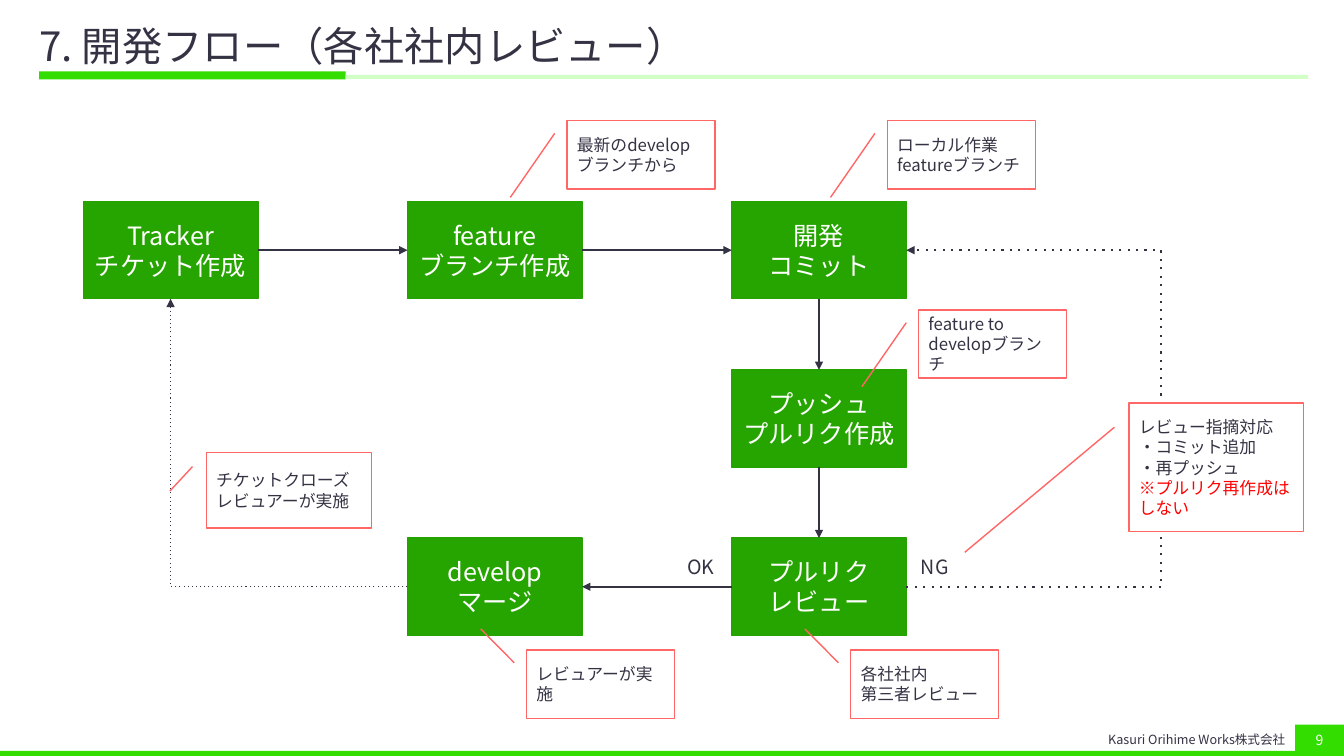
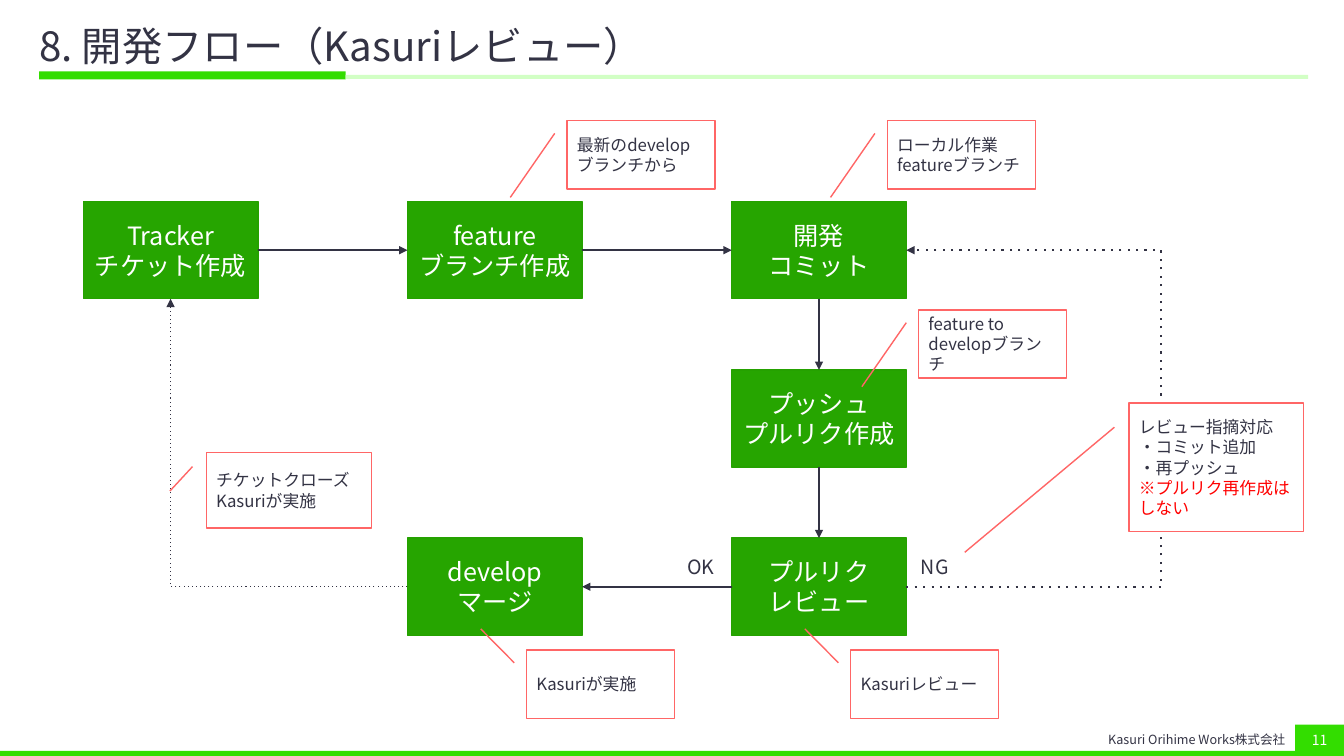
from dataclasses import dataclass
from typing import Optional

from lxml.etree import SubElement
from pptx import Presentation
from pptx.dml.color import RGBColor
from pptx.enum.shapes import MSO_CONNECTOR as CONN, MSO_SHAPE as SHAPE
from pptx.enum.text import MSO_ANCHOR as ANCHOR, PP_ALIGN as ALIGN
from pptx.oxml.ns import qn
from pptx.util import Cm, Pt

FONT = "Noto Sans CJK JP"
COLORS = {
    "bright": "33DD00",
    "pale": "D2FFC5",
    "step": "26A500",
    "step_line": "25A100",
    "ink": "333344",
    "white": "FFFFFF",
    "note": "FF6666",
    "warning": "FF0000",
}
COMPANY = "Kasuri"
SLIDE_W, SLIDE_H = 33.87, 19.05
STEP_W, STEP_H = 4.4, 2.45
STEP_LEFT, STEP_TOP = 2.1, 5.08
COL_PITCH, ROW_PITCH = 8.17, 4.24
TOP, LEFT, BOTTOM, RIGHT = range(4)
NG_TURN_X = 29.26


@dataclass(frozen=True)
class Box:
    x: float
    y: float
    w: float
    h: float


@dataclass(frozen=True)
class Step:
    key: str
    col: int
    row: int
    text: str


@dataclass(frozen=True)
class Arrow:
    start: str
    start_side: int
    end: str
    end_side: int


@dataclass(frozen=True)
class Note:
    box: Box
    text: str
    tip: Optional[tuple[float, float]] = None


@dataclass(frozen=True)
class Flow:
    title: str
    page: int
    close: str
    merge: str
    review: str


STEPS = [
    Step("ticket", 0, 0, "Tracker\nチケット作成"),
    Step("branch", 1, 0, "feature\nブランチ作成"),
    Step("commit", 2, 0, "開発\nコミット"),
    Step("push", 2, 1, "プッシュ\nプルリク作成"),
    Step("review", 2, 2, "プルリク\nレビュー"),
    Step("merge", 1, 2, "develop\nマージ"),
]
ARROWS = [
    Arrow("ticket", RIGHT, "branch", LEFT),
    Arrow("branch", RIGHT, "commit", LEFT),
    Arrow("commit", BOTTOM, "push", TOP),
    Arrow("push", BOTTOM, "review", TOP),
    Arrow("review", LEFT, "merge", RIGHT),
]
FLOWS = [
    Flow("7. 開発フロー（各社社内レビュー）", 9,
         "チケットクローズ\nレビュアーが実施", "レビュアーが実施", "各社社内\n第三者レビュー"),
    Flow(f"8. 開発フロー（{COMPANY}レビュー）", 11,
         f"チケットクローズ\n{COMPANY}が実施", f"{COMPANY}が実施", f"{COMPANY}レビュー"),
]


def rgb(name: str) -> RGBColor:
    return RGBColor.from_string(COLORS[name])


def write(sp, text: str, size: float, color: str = "ink", align=ALIGN.LEFT,
          anchor=ANCHOR.MIDDLE, wrap: bool = True) -> None:
    tf = sp.text_frame
    tf.text = text
    tf.word_wrap = wrap
    tf.vertical_anchor = anchor
    for p in tf.paragraphs:
        p.alignment = align
        for r in p.runs:
            r.font.size = Pt(size)
            r.font.color.rgb = rgb("warning" if r.text.startswith("※") else color)
            r.font.name = FONT
            SubElement(r.font._element, qn("a:ea"), typeface=FONT)


def add_box(slide, box: Box, fill: str, line: Optional[str] = None, kind=SHAPE.RECTANGLE):
    sp = slide.shapes.add_shape(kind, Cm(box.x), Cm(box.y), Cm(box.w), Cm(box.h))
    sp.shadow.inherit = False
    sp.fill.solid()
    sp.fill.fore_color.rgb = rgb(fill)
    if line:
        sp.line.color.rgb = rgb(line)
        sp.line.width = Pt(1)
    else:
        sp.line.fill.background()
    return sp


def add_text(slide, box: Box, text: str, size: float, **style):
    sp = slide.shapes.add_textbox(Cm(box.x), Cm(box.y), Cm(box.w), Cm(box.h))
    write(sp, text, size, **style)
    return sp


def style_arrow(sp, width: float, dotted: bool = False) -> None:
    sp.line.color.rgb = rgb("ink")
    sp.line.width = Pt(width)
    ln = sp.line._get_or_add_ln()
    if dotted:
        SubElement(ln, qn("a:prstDash"), val="dot")
    SubElement(ln, qn("a:tailEnd"), type="triangle")


def add_arrow(slide, steps: dict, arrow: Arrow, kind=CONN.STRAIGHT,
              width: float = 1.5, dotted: bool = False):
    cn = slide.shapes.add_connector(kind, 0, 0, 0, 0)
    cn.begin_connect(steps[arrow.start], arrow.start_side)
    cn.end_connect(steps[arrow.end], arrow.end_side)
    style_arrow(cn, width, dotted)
    SubElement(cn._element.spPr, qn("a:effectLst"))
    return cn


def add_close_arrow(slide, steps: dict) -> None:
    cn = add_arrow(slide, steps, Arrow("merge", LEFT, "ticket", BOTTOM), CONN.ELBOW, 0.75, True)
    cn._element.spPr.find(qn("a:prstGeom")).set("prst", "bentConnector2")


def add_rework_arrow(slide, steps: dict) -> None:
    review, commit = steps["review"], steps["commit"]
    x = review.left + review.width
    start_y, end_y = (sp.top + sp.height // 2 for sp in (review, commit))
    turn_x = Cm(NG_TURN_X)
    builder = slide.shapes.build_freeform(x, start_y)
    builder.add_line_segments([(turn_x, start_y), (turn_x, end_y), (x, end_y)], close=False)
    sp = builder.convert_to_shape()
    sp.shadow.inherit = False
    sp.fill.background()
    style_arrow(sp, 1.5, dotted=True)


def add_step(slide, step: Step):
    box = Box(STEP_LEFT + step.col * COL_PITCH, STEP_TOP + step.row * ROW_PITCH, STEP_W, STEP_H)
    sp = add_box(slide, box, "step", "step_line")
    write(sp, step.text, 18, "white", ALIGN.CENTER)
    return sp


def add_note(slide, note: Note) -> None:
    sp = add_box(slide, note.box, "white", "note", SHAPE.LINE_CALLOUT_1)
    if note.tip:
        sp.adjustments[2], sp.adjustments[3] = note.tip
    write(sp, note.text, 12)


def small_note(x: float, y: float, text: str, tip: Optional[tuple[float, float]] = None) -> Note:
    return Note(Box(x, y, 3.73, 1.72), text, tip)


def notes_for(flow: Flow) -> list[Note]:
    below = (-0.31, -0.31)
    return [
        small_note(14.29, 3.04, "最新のdevelopブランチから"),
        small_note(22.36, 3.04, "ローカル作業\nfeatureブランチ"),
        small_note(23.15, 7.81, "feature to developブランチ"),
        small_note(13.27, 16.38, flow.merge, below),
        small_note(21.44, 16.38, flow.review, below),
        Note(Box(28.45, 10.16, 4.4, 3.24),
             "レビュー指摘対応\n・コミット追加\n・再プッシュ\n※プルリク再作成はしない", (1.16, -0.94)),
        Note(Box(5.2, 11.4, 4.17, 1.91), flow.close, (0.51, -0.22)),
    ]


def add_frame(slide, title: str, page: int) -> None:
    add_box(slide, Box(0.99, 1.8, 7.72, 0.2), "bright")
    add_box(slide, Box(8.71, 1.89, 24.26, 0.1), "pale")
    add_box(slide, Box(0, 18.92, SLIDE_W, 0.13), "bright")
    sp = add_text(slide, Box(0.99, 0.51, 31.98, 1.42), title, 28.8)
    sp.text_frame.margin_left = 0
    sp.text_frame.paragraphs[0].line_spacing = 0.9
    add_text(slide, Box(27.58, 18.29, 5.06, 0.69), f"{COMPANY} Orihime Works株式会社", 9,
             align=ALIGN.RIGHT)
    sp = add_box(slide, Box(32.64, 18.26, 1.23, 0.79), "bright")
    write(sp, str(page), 10, "white", ALIGN.CENTER)


def build_flow(prs, flow: Flow) -> None:
    slide = prs.slides.add_slide(prs.slide_layouts[6])
    add_frame(slide, flow.title, flow.page)
    steps = {step.key: add_step(slide, step) for step in STEPS}
    for arrow in ARROWS:
        add_arrow(slide, steps, arrow)
    add_close_arrow(slide, steps)
    add_rework_arrow(slide, steps)
    for x, label in ((17.07, "OK"), (22.96, "NG")):
        add_text(slide, Box(x, 13.87, 1.24, 0.86), label, 14, anchor=ANCHOR.TOP, wrap=False)
    for note in notes_for(flow):
        add_note(slide, note)


def main() -> None:
    prs = Presentation()
    prs.slide_width, prs.slide_height = Cm(SLIDE_W), Cm(SLIDE_H)
    for flow in FLOWS:
        build_flow(prs, flow)
    prs.save("out.pptx")


if __name__ == "__main__":
    main()
